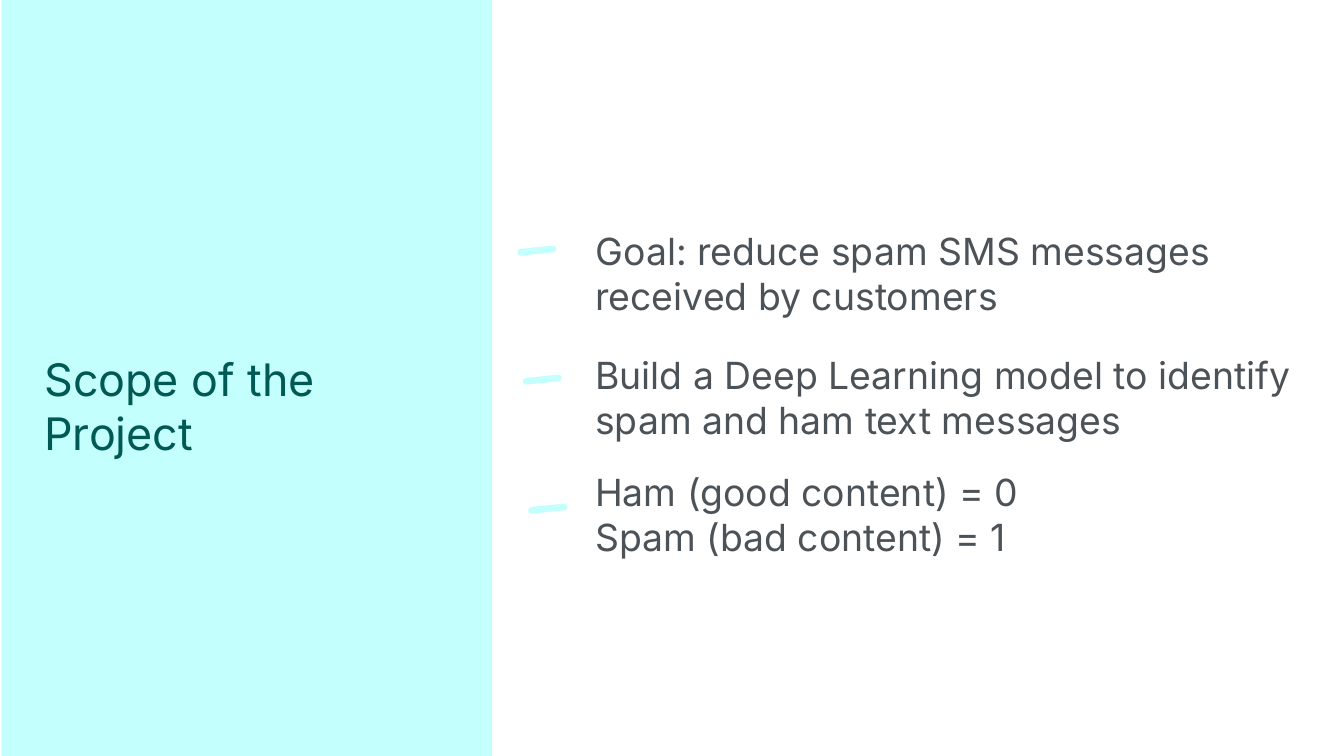
"""Build the project scope slide: a tinted title panel beside three dashed statements."""
from pptx import Presentation, util as u
from pptx.dml.color import RGBColor
from pptx.enum import shapes, text

AQUA = RGBColor(0xC3, 0xFF, 0xFC)
TEAL = RGBColor(0x01, 0x59, 0x55)
SLATE = RGBColor(0x4B, 0x52, 0x58)


def write(box, *lines, at, size, color):
    box.left, box.top, box.width, box.height = map(u.Inches, at)
    frame = box.text_frame
    frame.word_wrap = True
    frame.auto_size = text.MSO_AUTO_SIZE.NONE
    frame.vertical_anchor = text.MSO_ANCHOR.TOP
    frame.margin_left = frame.margin_right = u.Inches(0.1)
    frame.margin_top = frame.margin_bottom = u.Inches(0.1)
    frame.text = "\n".join(lines)
    for paragraph in frame.paragraphs:
        paragraph.alignment = text.PP_ALIGN.LEFT
        paragraph.space_before = u.Pt(0)
        paragraph.font.name = "Inter"
        paragraph.font.size = u.Pt(size)
        paragraph.font.color.rgb = color


def block(kind, *at):
    shape = slide.shapes.add_shape(kind, *map(u.Inches, at))
    shape.shadow.inherit = False
    shape.fill.solid()
    shape.fill.fore_color.rgb = AQUA
    shape.line.fill.background()
    return shape


deck = Presentation()
deck.slide_width, deck.slide_height = u.Inches(10), u.Inches(5.625)
slide = deck.slides.add_slide(deck.slide_layouts[0])
heading, goal = slide.placeholders

panel = block(shapes.MSO_SHAPE.RECTANGLE, 0.01, -0.02, 3.65, 5.65)
slide.shapes._spTree.insert(2, panel._element)
write(heading, "Scope of the Project", at=(0.23, 2.52, 2.75, 0.58), size=24, color=TEAL)

statements = [
    (1.6, 5.81, ["Goal: reduce spam SMS messages received by customers"]),
    (2.52, 5.81, ["Build a Deep Learning model to identify spam and ham text messages"]),
    (3.39, 5.4, ["Ham (good content) = 0", "Spam (bad content) = 1"]),
]
for row, (top, width, lines) in enumerate(statements):
    statement = slide.shapes.add_textbox(0, 0, 0, 0) if row else goal
    write(statement, *lines, at=(4.33, top, width, 0.88), size=20, color=SLATE)
    dash = block(shapes.MSO_SHAPE.ROUNDED_RECTANGLE,
                 3.85 + 0.04 * row, 1.84 + 0.96 * row, 0.29, 0.05)
    dash.adjustments[0] = 0.5
    dash.rotation = -5.9

deck.save("out.pptx")
